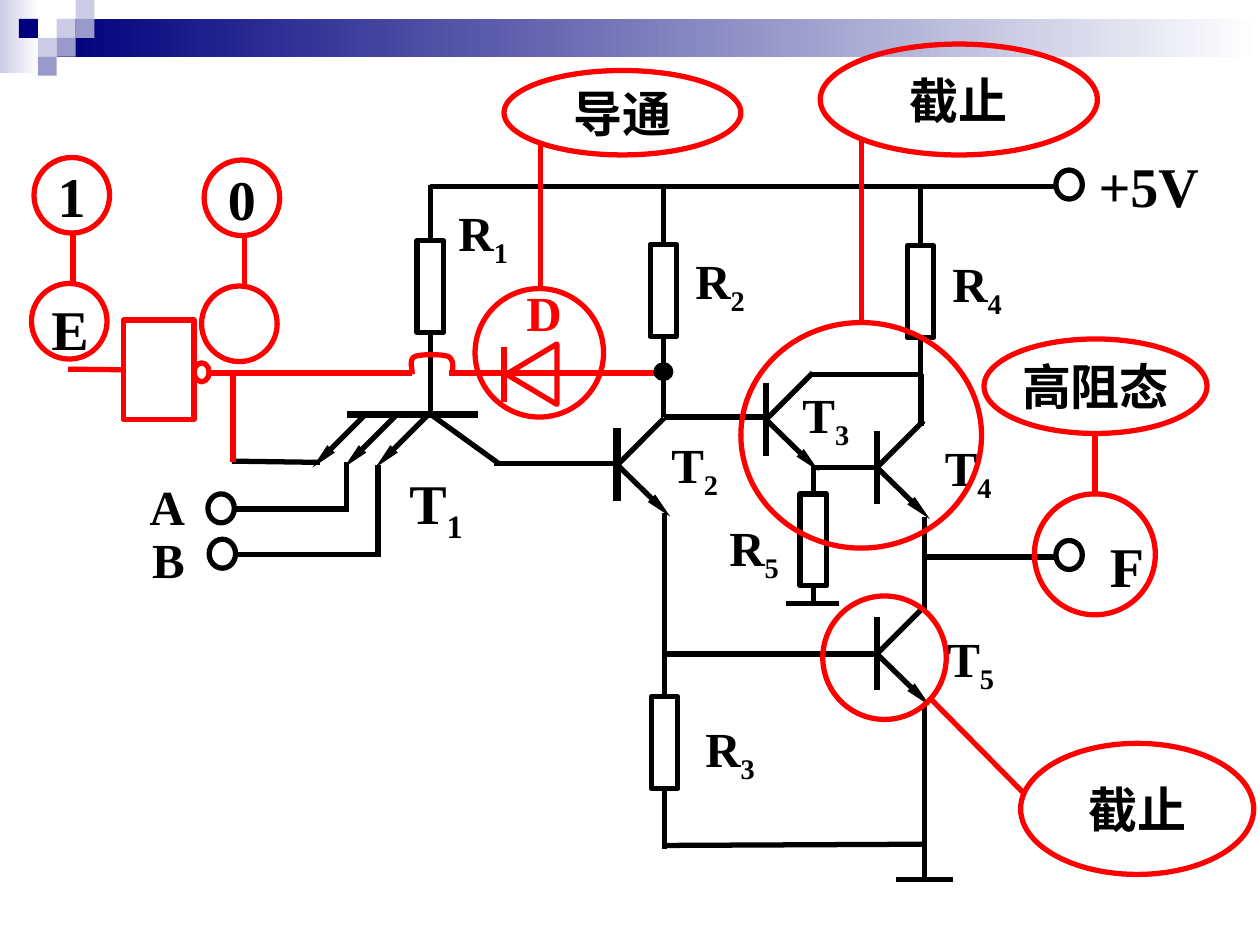
from dataclasses import dataclass
from typing import Optional

import pptx
import pptx.dml.color
import pptx.enum.shapes
import pptx.enum.text
import pptx.oxml
import pptx.oxml.ns
import pptx.util

RGB = pptx.dml.color.RGBColor
BLACK, RED, WHITE = RGB(0, 0, 0), RGB(255, 0, 0), RGB(255, 255, 255)
NAVY, MID, PALE = RGB(0, 0, 0x7D), RGB(0x99, 0x99, 0xCC), RGB(0xCC, 0xCC, 0xE6)
SHAPE = pptx.enum.shapes.MSO_SHAPE
STRAIGHT = pptx.enum.shapes.MSO_CONNECTOR.STRAIGHT
TOP, LEFT, BOTTOM = 0, 1, 2  # connection sites of a rectangle
RES_W, RES_H = 0.21, 0.73
FONT = {"name": "Times New Roman", "bold": True}


@dataclass
class Resistor:
    x: float
    y: float
    lead_top: float
    lead_bottom: float


@dataclass
class Transistor:
    x: float
    y: float
    bar: float = 3


@dataclass
class Label:
    text: str
    x: float
    y: float
    w: float
    sub: str = ""
    size: int = 28
    color: RGB = BLACK


@dataclass
class Callout:
    ring: tuple
    stem: tuple
    bubble: tuple
    text: str
    size: int = 28


def u(inches: float) -> pptx.util.Length:
    return pptx.util.Cm(inches * 2.54)


def shape(s, kind, box: tuple, line: Optional[RGB] = None,
          fill: Optional[RGB] = None, width: float = 3):
    sp = s.shapes.add_shape(kind, *map(u, box))
    return style(sp, line, fill, width)


def style(sp, line: Optional[RGB], fill: Optional[RGB], width: float = 3):
    sp.shadow.inherit = False
    for part, color in ((sp.fill, fill), (sp.line.fill, line)):
        if color is None:
            part.background()
        else:
            part.solid()
            part.fore_color.rgb = color
    if line is not None:
        sp.line.width = pptx.util.Pt(width)
    return sp


def wire(s, x1: float, y1: float, x2: float, y2: float,
         color: RGB = BLACK, width: float = 3, arrow: bool = False):
    cx = s.shapes.add_connector(STRAIGHT, u(x1), u(y1), u(x2), u(y2))
    cx.line.color.rgb = color
    cx.line.width = pptx.util.Pt(width)
    ns = pptx.oxml.ns.nsdecls("a")
    if arrow:
        cx.line._get_or_add_ln().append(pptx.oxml.parse_xml(
            f'<a:tailEnd {ns} type="triangle" w="sm" len="lg"/>'))
    cx._element.spPr.append(pptx.oxml.parse_xml(f"<a:effectLst {ns}/>"))
    return cx


def gradient_bar(s, box: tuple, start: RGB) -> None:
    sp = shape(s, SHAPE.RECTANGLE, box)
    sp.fill.gradient()
    sp.fill.gradient_angle = 0
    for stop, color in zip(sp.fill.gradient_stops, (start, WHITE)):
        stop.color.rgb = color


def add_run(p, text: str, size: int, color: RGB):
    r = p.add_run()
    r.text = text
    for name, value in {**FONT, "size": pptx.util.Pt(size)}.items():
        setattr(r.font, name, value)
    r.font.color.rgb = color
    return r


def draw_label(s, label: Label) -> None:
    height = 0.63 if label.size == 32 else 0.57
    sp = s.shapes.add_textbox(u(label.x), u(label.y), u(label.w), u(height))
    tf = sp.text_frame
    tf.word_wrap = True
    tf.auto_size = pptx.enum.text.MSO_AUTO_SIZE.SHAPE_TO_FIT_TEXT
    p = tf.paragraphs[0]
    add_run(p, label.text, label.size, label.color)
    if label.sub:
        r = add_run(p, label.sub, label.size, label.color)
        r._r.get_or_add_rPr().set("baseline", "-25000")


def draw_resistor(s, res: Resistor) -> None:
    sp = shape(s, SHAPE.RECTANGLE, (res.x, res.y, RES_W, RES_H), BLACK)
    mid = res.x + RES_W / 2
    wire(s, mid, res.lead_top, mid, res.y).end_connect(sp, TOP)
    wire(s, mid, res.y + RES_H, mid, res.lead_bottom).begin_connect(sp, BOTTOM)


def draw_transistor(s, t: Transistor) -> None:
    wire(s, t.x, t.y - 0.29, t.x, t.y + 0.29, width=t.bar)
    wire(s, t.x, t.y, t.x + 0.42, t.y + 0.41, arrow=True)
    wire(s, t.x, t.y, t.x + 0.37, t.y - 0.37)


def draw_callout(s, c: Callout) -> None:
    shape(s, SHAPE.OVAL, c.ring, RED)
    wire(s, *c.stem, color=RED)
    tf = shape(s, SHAPE.OVAL, c.bubble, RED).text_frame
    tf.word_wrap = False
    tf.vertical_anchor = pptx.enum.text.MSO_ANCHOR.MIDDLE
    p = tf.paragraphs[0]
    p.alignment = pptx.enum.text.PP_ALIGN.CENTER
    add_run(p, c.text, c.size, BLACK)


def draw_hop(s) -> None:
    """Arch where the enable wire crosses the R1 lead."""
    curves = [((3.27, 2.97), (3.28, 2.94), (3.24, 2.86), (3.29, 2.83)),
              ((3.29, 2.83), (3.34, 2.81), (3.51, 2.81), (3.56, 2.83)),
              ((3.56, 2.83), (3.61, 2.86), (3.59, 2.94), (3.59, 2.97))]
    points = []
    for curve in curves:
        for t in (i / 8 for i in range(1, 9)):
            weights = ((1 - t) ** 3, 3 * t * (1 - t) ** 2, 3 * t * t * (1 - t), t ** 3)
            points.append(tuple(u(sum(w * q[axis] for w, q in zip(weights, curve)))
                                for axis in (0, 1)))
    fb = s.shapes.build_freeform(*map(u, curves[0][0]))
    fb.add_line_segments(points, close=False)
    style(fb.convert_to_shape(), RED, None)


RESISTORS = [Resistor(3.31, 1.91, 1.47, 3.29), Resistor(5.16, 1.94, 1.47, 3.31),
             Resistor(5.17, 5.53, 4.07, 6.74), Resistor(7.2, 1.95, 1.48, 3.04),
             Resistor(6.35, 3.92, 3.69, 4.8)]
TRANSISTORS = [Transistor(4.9, 3.69, 4.5), Transistor(6.08, 3.33),
               Transistor(6.96, 3.71), Transistor(6.96, 5.19)]
WIRES = [(3.42, 3.29, 3.96, 3.68), (3.92, 3.68, 4.9, 3.68),  # T1 to T2
         (3.41, 1.48, 8.39, 1.48),  # supply rail
         (6.08, 3.31, 5.27, 3.31), (6.44, 3.71, 6.96, 3.71),
         (6.44, 2.97, 7.31, 2.97), (7.31, 3.38, 7.31, 2.97),
         (6.24, 4.79, 6.66, 4.79),  # R5 ground
         (6.95, 5.19, 5.28, 5.19), (5.28, 6.71, 7.34, 6.7),
         (7.34, 4.1, 7.34, 4.84), (7.34, 5.58, 7.34, 6.99),
         (7.11, 6.98, 7.56, 6.98), (7.34, 4.42, 8.38, 4.42),
         (2.54, 3.67, 1.84, 3.66), (2.75, 3.67, 2.75, 4.06),  # inputs
         (2.75, 4.04, 1.86, 4.04), (3, 3.69, 3, 4.42), (3.02, 4.4, 1.88, 4.4)]
TERMINALS = [(8.38, 1.35), (8.38, 4.29), (1.65, 3.92), (1.66, 4.28)]
LABELS = [Label("+5V", 8.62, 1.15, 1.38, size=32), Label("F", 8.71, 4.17, 0.81, size=32),
          Label("R", 7.46, 1.96, 1.15, "4"), Label("R", 5.42, 1.94, 1.15, "2"),
          Label("R", 3.54, 1.56, 1.15, "1"), Label("T", 5.23, 3.4, 0.67, "2"),
          Label("R", 5.69, 4.06, 0.69, "5"), Label("R", 5.5, 5.65, 1.12, "3"),
          Label("T", 6.27, 3, 1.08, "3"), Label("T", 7.4, 3.42, 0.73, "4"),
          Label("T", 3.15, 3.67, 0.79, "1", 32), Label("T", 7.42, 4.94, 0.73, "5"),
          Label("A", 1.09, 3.73, 0.77), Label("B", 1.11, 4.15, 0.77),
          Label("D", 4.08, 2.19, 0.5, color=RED), Label("E", 0.31, 2.29, 0.65, size=32)]
CALLOUTS = [
    Callout((0.25, 2.25, 0.6, 0.6), (0.58, 2.25, 0.58, 1.83), (0.27, 1.25, 0.6, 0.6), "1", 32),
    Callout((1.6, 2.27, 0.6, 0.6), (1.94, 2.27, 1.94, 1.85), (1.62, 1.27, 0.6, 0.6), "0", 32),
    Callout((3.77, 2.29, 1.02, 1.02), (4.29, 2.27, 4.29, 1.12), (4, 0.56, 1.88, 0.67), "导通"),
    Callout((5.88, 2.56, 1.91, 1.79), (6.84, 2.56, 6.84, 1.1), (6.51, 0.35, 2.2, 0.88), "截止"),
    Callout((6.53, 4.73, 0.98, 0.98), (7.38, 5.54, 8.12, 6.29), (8.1, 5.9, 1.85, 1.04), "截止"),
    Callout((8.21, 3.92, 0.96, 0.96), (8.69, 3.92, 8.69, 3.46), (7.81, 2.69, 1.77, 0.75), "高阻态")]
# Column, row and colour of each header square
SQUARES = [(3, 1, PALE), (4, 0, PALE), (4, 1, MID), (2, 2, PALE),
           (1, 1, NAVY), (3, 2, MID), (2, 3, MID)]


def main() -> None:
    prs = pptx.Presentation()
    prs.slide_width, prs.slide_height = u(10), u(7.5)
    s = prs.slides.add_slide(prs.slide_layouts[6])

    # Header band
    gradient_bar(s, (0, 0, 0.31, 0.58), PALE)
    gradient_bar(s, (0.45, 0.15, 9.55, 0.3), NAVY)
    for col, row, color in SQUARES:
        shape(s, SHAPE.RECTANGLE, (col * 0.15, row * 0.15, 0.15, 0.15), fill=color)

    # Multi-emitter transistor T1
    wire(s, 2.75, 3.29, 3.79, 3.29, width=4.5)
    for x in (3.4, 3.15, 2.9):
        wire(s, x, 3.29, x - 0.42, 3.71, arrow=True)

    # Circuit
    for t in TRANSISTORS:
        draw_transistor(s, t)
    for res in RESISTORS:
        draw_resistor(s, res)
    for ends in WIRES:
        wire(s, *ends)
    for x, y in TERMINALS:
        shape(s, SHAPE.OVAL, (x, y, 0.21, 0.23), BLACK)

    # Enable branch: inverter, hop and diode
    inverter = shape(s, SHAPE.RECTANGLE, (0.98, 2.54, 0.56, 0.79), RED)
    wire(s, 0.54, 2.93, 0.98, 2.93, RED).end_connect(inverter, LEFT)
    shape(s, SHAPE.OVAL, (1.54, 2.88, 0.12, 0.15), RED)
    for ends in ((3.27, 2.96, 1.65, 2.96), (1.85, 3.67, 1.85, 2.96),
                 (3.56, 2.96, 5.27, 2.96), (4, 2.75, 4, 3.19)):
        wire(s, *ends, color=RED)
    draw_hop(s)
    shape(s, SHAPE.ISOSCELES_TRIANGLE, (3.98, 2.77, 0.48, 0.4), RED).rotation = 270

    # Labels, callouts and junction dot
    for label in LABELS:
        draw_label(s, label)
    for c in CALLOUTS:
        draw_callout(s, c)
    shape(s, SHAPE.OVAL, (5.19, 2.88, 0.15, 0.14), BLACK, BLACK, 0.75)
    prs.save("out.pptx")


if __name__ == "__main__":
    main()
